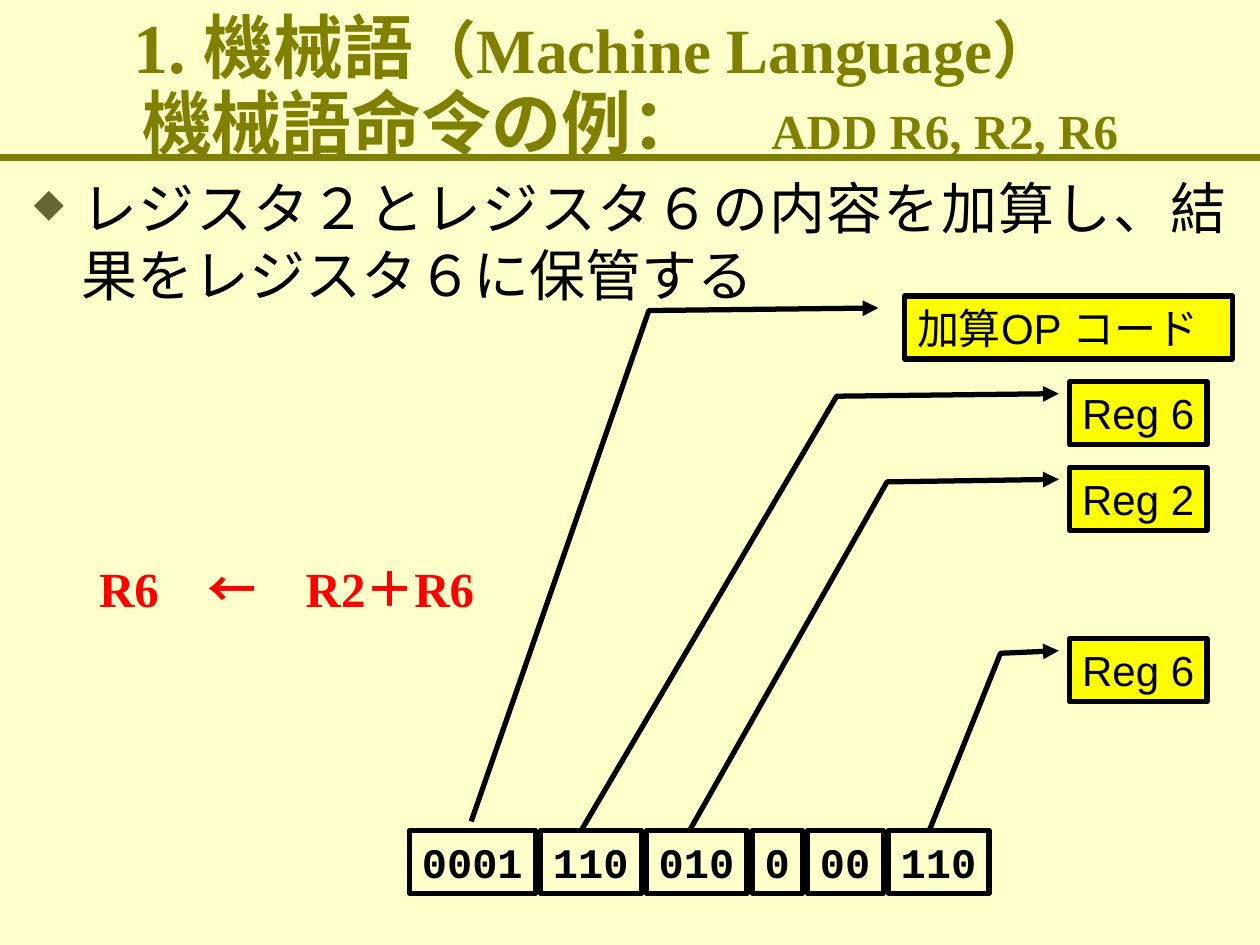
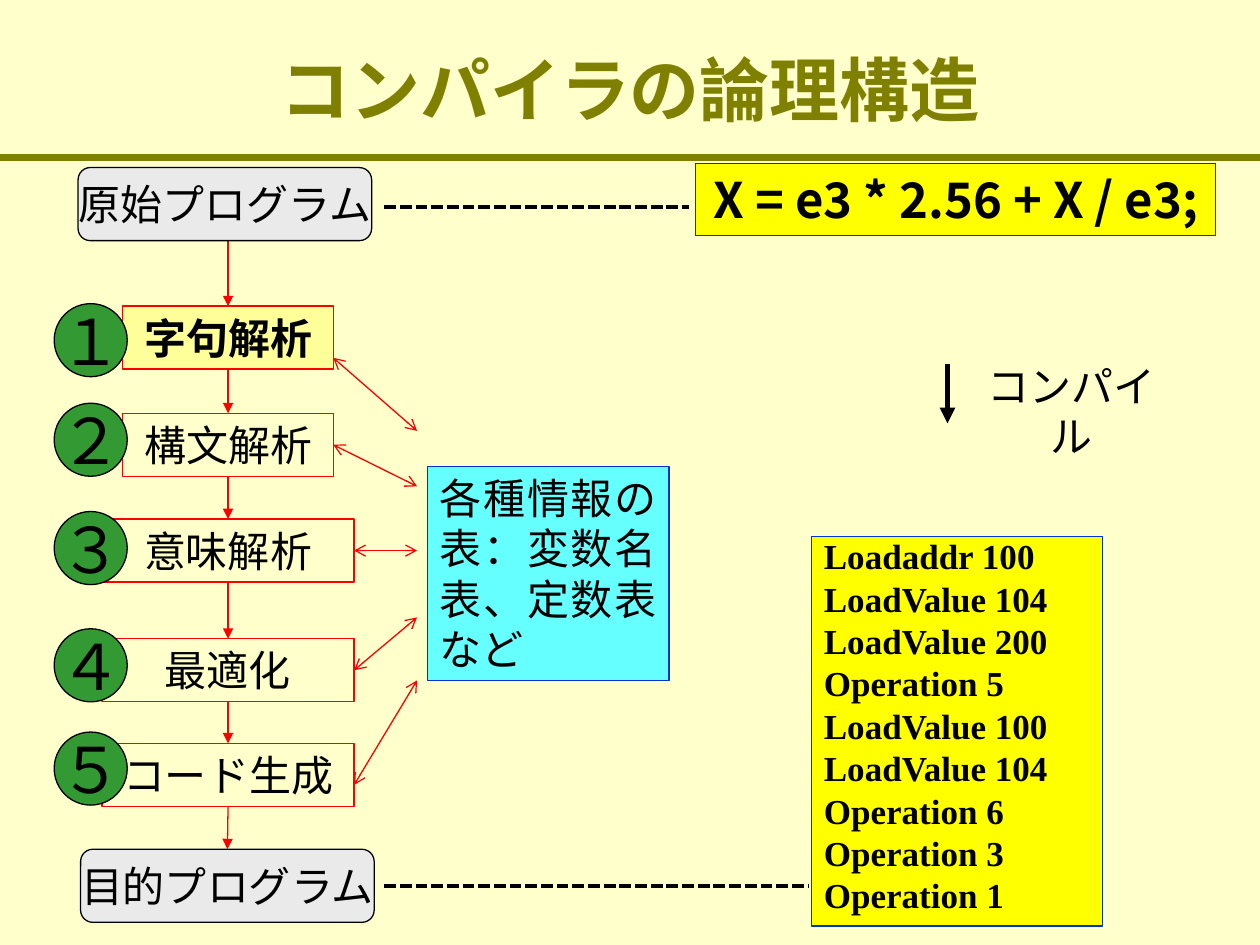
import itertools

import pptx
import pptx.dml.color
import pptx.enum.dml
import pptx.enum.shapes
import pptx.enum.text
import pptx.oxml
import pptx.oxml.ns
import pptx.util

Inches = pptx.util.Inches
Pt = pptx.util.Pt
RGBColor = pptx.dml.color.RGBColor
SHAPE = pptx.enum.shapes.MSO_SHAPE
ALIGN = pptx.enum.text.PP_ALIGN
ANCHOR = pptx.enum.text.MSO_ANCHOR

CREAM = RGBColor(0xFF, 0xFF, 0xCC)
OLIVE = RGBColor(0x80, 0x80, 0x00)
MOSS = RGBColor(0x66, 0x66, 0x33)
BLACK = RGBColor(0, 0, 0)
RED = RGBColor(0xFF, 0, 0)
YELLOW = RGBColor(0xFF, 0xFF, 0)
PALE = RGBColor(0xFF, 0xFF, 0x99)
CYAN = RGBColor(0x66, 0xFF, 0xFF)
BLUE = RGBColor(0, 0x33, 0xCC)
GREY = RGBColor(0xEA, 0xEA, 0xEA)
GREEN = RGBColor(0x33, 0x99, 0x33)

SERIF = "Times New Roman"
SANS = "Arial"
MONO = "Courier New"
ASIAN = "Noto Sans CJK JP"


def add_xml(parent, tag, inner="", **attrs):
    """Append one DrawingML element to parent."""
    pairs = "".join(f' {key}="{value}"' for key, value in attrs.items())
    space = pptx.oxml.ns.nsdecls("a")
    parent.append(pptx.oxml.parse_xml(f"<a:{tag} {space}{pairs}>{inner}</a:{tag}>"))


def set_hang(para, indent):
    props = para._p.get_or_add_pPr()
    props.set("marL", str(Inches(indent)))
    props.set("indent", str(-Inches(indent)))
    return props


class Pen:
    """Holds the deck's style and draws on the current slide."""

    def __init__(self):
        self.deck = pptx.Presentation()
        self.deck.slide_width = Inches(10)
        self.deck.slide_height = Inches(7.5)

    def page(self, lines, spacing=None):
        """Start a slide; lines hold (text, size) runs of the title."""
        self.slide = self.deck.slides.add_slide(self.deck.slide_layouts[6])
        fill = self.slide.background.fill
        fill.solid()
        fill.fore_color.rgb = CREAM
        self.line((0, 1.25), (10, 1.25), OLIVE, 4.5)
        title = self.text((0, 0.08, 10, 1.25), "", anchor=ANCHOR.MIDDLE)
        para = title.text_frame.paragraphs[0]
        para.alignment = ALIGN.CENTER
        para.line_spacing = spacing
        for index, runs in enumerate(lines):
            if index:
                para.add_line_break()
            for text, size in runs:
                run = para.add_run()
                run.text = text
                self.style(run, size, OLIVE, True)

    def style(self, run, size, color=BLACK, bold=False, face=SERIF):
        run.font.size = Pt(size)
        run.font.bold = bold
        run.font.color.rgb = color
        run.font.name = face
        add_xml(run._r.get_or_add_rPr(), "ea", typeface=ASIAN)

    def label(self, shape, text, size=24, align=ALIGN.LEFT, anchor=ANCHOR.TOP,
              wrap=True, **look):
        frame = shape.text_frame
        frame.text = text
        frame.word_wrap = wrap
        frame.vertical_anchor = anchor
        for para in frame.paragraphs:
            para.alignment = align
            for run in para.runs:
                self.style(run, size, **look)

    def text(self, place, text, **look):
        shape = self.slide.shapes.add_textbox(*map(Inches, place))
        self.label(shape, text, **look)
        return shape

    def box(self, place, text, fill=None, edge=BLACK, width=0.75,
            kind=SHAPE.RECTANGLE, **look):
        shape = self.slide.shapes.add_shape(kind, *map(Inches, place))
        shape.shadow.inherit = False
        if fill is None:
            shape.fill.background()
        else:
            shape.fill.solid()
            shape.fill.fore_color.rgb = fill
        shape.line.color.rgb = edge
        shape.line.width = Pt(width)
        self.label(shape, text, **look)
        return shape

    def callout(self, place, text, bend, foot):
        """Draw a box whose bent leader runs from foot, by x = bend, to the box."""
        left, top, wide, high = place
        shape = self.box(place, text, YELLOW, width=3, wrap=False, face=SANS,
                         kind=SHAPE.LINE_CALLOUT_2)
        points = [(0.19, -0.08), (0.23, (bend - left) / wide),
                  ((foot[1] - top) / high, (foot[0] - left) / wide)]
        for index, value in enumerate(itertools.chain(*points)):
            shape.adjustments[index] = value
        add_xml(shape.line._get_or_add_ln(), "headEnd", type="triangle")

    def line(self, start, end, color=RED, width=0.75, head=None, tail=None, dash=None):
        kind = pptx.enum.shapes.MSO_CONNECTOR.STRAIGHT
        line = self.slide.shapes.add_connector(kind, *map(Inches, start + end))
        line.line.color.rgb = color
        line.line.width = Pt(width)
        if dash:
            line.line.dash_style = dash
        for tag, tip in (("headEnd", head), ("tailEnd", tail)):
            if tip:
                add_xml(line.line._get_or_add_ln(), tag, type=tip)
        add_xml(line._element.spPr, "effectLst")
        return line


def draw_code(pen):
    pen.page([[("1. 機械語", 40), ("（Machine Language）", 36), ("\u3000", 40)],
              [("機械語命令の例：\u3000", 40), ("ADD R6, R2, R6", 28)]], 0.9)
    body = pen.text((0.17, 1.33, 9.67, 6),
                    "レジスタ２とレジスタ６の内容を加算し、結果をレジスタ６に保管する",
                    size=32, align=ALIGN.JUSTIFY)
    props = set_hang(body.text_frame.paragraphs[0], 0.38)
    add_xml(props, "buClr", f'<a:srgbClr val="{MOSS}"/>')
    add_xml(props, "buSzPct", val=70000)
    add_xml(props, "buChar", char="◆")

    left = 3.25
    for bits in ("0001", "110", "010", "0", "00", "110"):
        wide = 0.2 + 0.2 * len(bits)
        pen.box((left, 6.59, wide, 0.5), bits, width=3, wrap=False, bold=True, face=MONO)
        left += wide + 0.04

    for row, text, left, wide, bend, foot in (
            (0, "加算OP コード", 7.18, 2.6, 5.15, (3.74, 6.52)),
            (1, "Reg 6", 8.49, 1.09, 6.64, (4.62, 6.58)),
            (2, "Reg 2", 8.49, 1.09, 7.04, (5.48, 6.58)),
            (4, "Reg 6", 8.49, 1.09, 7.94, (7.38, 6.58))):
        pen.callout((left, 2.35 + 0.68 * row, wide, 0.5), text, bend, foot)
    pen.text((0.5, 4.38, 3.55, 0.57), "R6\u3000←\u3000R2＋R6", size=28,
             align=ALIGN.CENTER, wrap=False, color=RED, bold=True)


def draw_flow(pen):
    pen.page([[("コンパイラの論理構造", 40)]])
    axis, high, table = 1.81, 0.5, 3.31
    center = {"align": ALIGN.CENTER}
    middle = {"align": ALIGN.CENTER, "anchor": ANCHOR.MIDDLE, "wrap": False}

    # Name, top, width, number's top, then the heights of the two-way arrow's ends
    steps = (("字句解析", 2.43, 1.67, 2.41, 2.84, 3.42),
             ("構文解析", 3.28, 1.67, 3.2, 3.53, 3.86),
             ("意味解析", 4.12, 2, 4.06, 4.37, 4.37),
             ("最適化", 5.07, 2, 4.99, 5.32, 4.9),
             ("コード生成", 5.9, 2, 5.81, 6.23, 5.4))
    first = pen.line((axis, 1.44), (axis, 2.43), tail="triangle")
    chain = []
    for index, (name, top, wide, disc, side, far) in enumerate(steps):
        box = pen.box((axis - wide / 2, top, wide, high), name,
                      CREAM if index else PALE, RED, bold=not index, **center)
        chain.append(box)
        link = pen.line((axis + wide / 2, side), (table, far), head="arrow", tail="arrow")
        if abs(side - top - high / 2) < 0.01:
            link.begin_connect(box, 3)
        pen.box((0.43, disc, 0.58, 0.58), "１２３４５"[index], GREEN,
                kind=SHAPE.OVAL, size=36, **middle)
    first.end_connect(chain[0], 0)

    for left, top, name in ((0.62, 1.33, "原始プログラム"), (0.64, 6.74, "目的プログラム")):
        goal = pen.box((left, top, 2.33, 0.58), name, GREY,
                       kind=SHAPE.ROUNDED_RECTANGLE, **middle)
    for upper, lower in itertools.pairwise(chain + [goal]):
        arrow = pen.line((axis, 0), (axis, 1), tail="triangle")
        arrow.begin_connect(upper, 2)
        arrow.end_connect(lower, 0)

    pen.box((3.39, 3.7, 1.92, 1.7), "各種情報の表：変数名表、定数表など", CYAN, BLUE,
            align=ALIGN.JUSTIFY)
    pen.box((5.52, 1.3, 4.13, 0.57), "X = e3 * 2.56 + X / e3;", YELLOW, BLUE,
            size=28, wrap=False, bold=True, face=ASIAN, **center)
    pen.line((7.52, 2.89), (7.52, 3.36), BLACK, 3, tail="triangle")
    pen.text((7.6, 2.81, 1.81, 0.9), "コンパイル", **center)

    code = ("Loadaddr 100", "LoadValue 104", "LoadValue 200", "Operation 5",
            "LoadValue 100", "LoadValue 104", "Operation 6", "Operation 3", "Operation 1")
    box = pen.box((6.44, 4.26, 2.31, 3.09), "\n".join(code), YELLOW, BLUE,
                  size=20, align=ALIGN.JUSTIFY, bold=True)
    for index, para in enumerate(box.text_frame.paragraphs):
        set_hang(para, 0.38)
        para.line_spacing = 0.8
        if index:
            para.space_before = Pt(5)

    for right, y in ((5.47, 1.64), (6.41, 7.03)):
        pen.line((3.05, y), (right, y), BLACK, 2.25,
                 dash=pptx.enum.dml.MSO_LINE.SQUARE_DOT)


def main():
    pen = Pen()
    draw_code(pen)
    draw_flow(pen)
    pen.deck.save("out.pptx")


if __name__ == "__main__":
    main()
